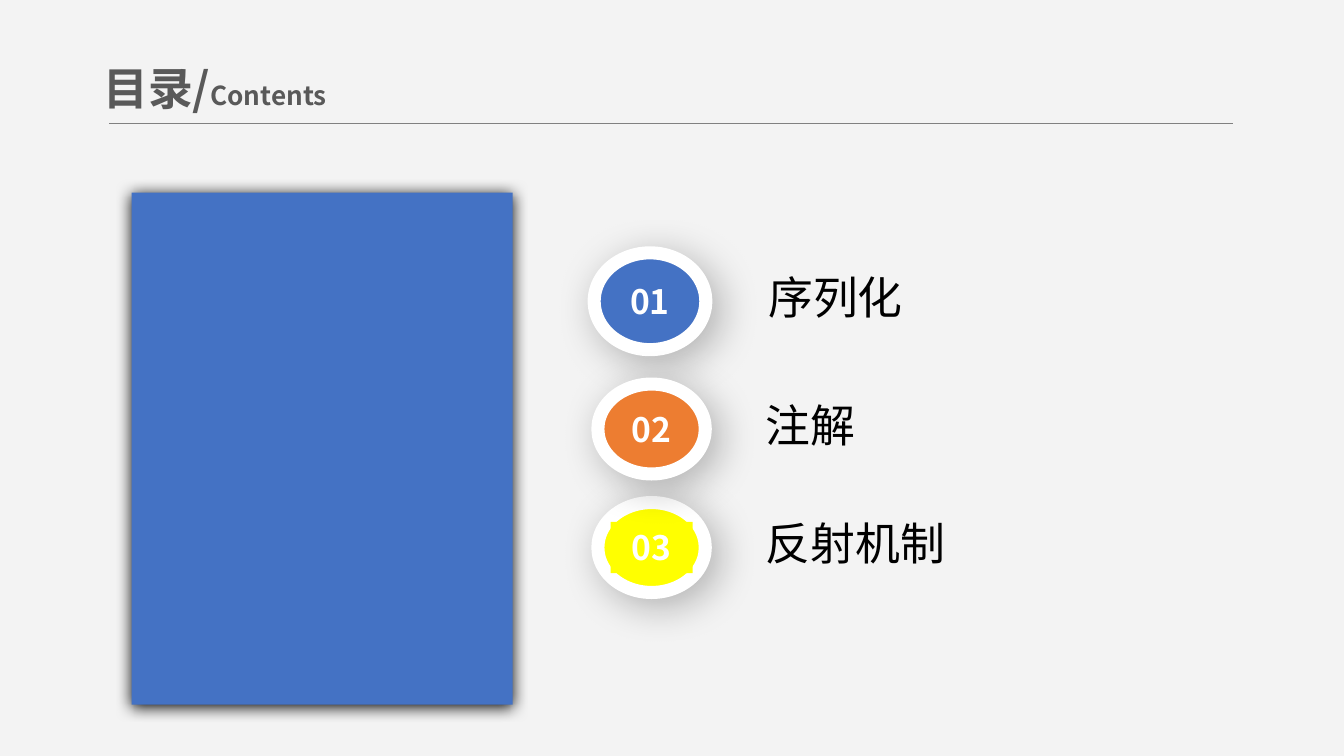
from lxml.etree import SubElement
from pptx import Presentation
from pptx.dml.color import RGBColor
from pptx.enum.shapes import MSO_CONNECTOR, MSO_SHAPE
from pptx.enum.text import MSO_ANCHOR, MSO_AUTO_SIZE, PP_ALIGN
from pptx.oxml.ns import qn
from pptx.util import Cm, Pt

FONT = "Noto Sans CJK SC"
BLUE, ORANGE, YELLOW, WHITE = "4472C4", "ED7D31", "FFFF00", "FFFFFF"
NUMBER_HEIGHT = 0.97

# number, topic, badge box, badge colour, number width, number fill, label box
ENTRIES = [
    ("03", "反射机制", (11.3, 9.5, 2.03, 1.7), YELLOW, 1.55, YELLOW, (14.22, 9.63, 6.32, 1.27)),
    ("01", "序列化", (11.23, 4.78, 2.11, 1.83), BLUE, 1.6, None, (14.27, 4.98, 7.19, 1.27)),
    ("02", "注解", (11.3, 7.26, 2.03, 1.7), ORANGE, 1.55, None, (14.22, 7.39, 6.32, 1.27)),
]


def paint(color_format, value):
    """Set a colour from a hex string."""
    color_format.rgb = RGBColor.from_string(value)


def fill_with(owner, value):
    """Give a shape or background a solid fill."""
    owner.fill.solid()
    paint(owner.fill.fore_color, value)


def add_run(paragraph, words, size, color, bold=False):
    """Append one formatted run, with the font set for both scripts."""
    run = paragraph.add_run()
    run.text = words
    run.font.name, run.font.size, run.font.bold = FONT, Pt(size), bold
    paint(run.font.color, color)
    SubElement(run.font._element, qn("a:ea"), typeface=FONT)


def cast_shadow(shape, opacity, blur, distance, angle):
    """Replace the theme shadow with a black outer shadow."""
    shape.shadow.inherit = False
    effects = shape._element.spPr.find(qn("a:effectLst"))
    outer = SubElement(effects, qn("a:outerShdw"), blurRad=str(Pt(blur)),
                       dist=str(Pt(distance)), dir=str(angle * 60000),
                       algn="ctr", rotWithShape="0")
    black = SubElement(outer, qn("a:srgbClr"), val="000000")
    SubElement(black, qn("a:alpha"), val=str(opacity * 1000))


def add_title(slide):
    """Write the heading in the title placeholder."""
    title = slide.shapes.title
    title.left, title.top, title.width, title.height = Cm(1.7), Cm(0.97), Cm(6.27), Cm(1.37)
    frame = title.text_frame
    frame.auto_size = MSO_AUTO_SIZE.NONE
    frame.vertical_anchor = MSO_ANCHOR.MIDDLE
    heading = frame.paragraphs[0]
    heading.alignment = PP_ALIGN.LEFT
    add_run(heading, "目录/", 24, "595959", True)
    add_run(heading, "Contents", 14, "595959", True)


def add_rule(slide):
    """Draw the thin line below the heading."""
    rule = slide.shapes.add_connector(MSO_CONNECTOR.STRAIGHT, Cm(2.06), Cm(2.34), Cm(23.3), Cm(2.34))
    paint(rule.line.color, "808080")
    rule.line.width = Pt(0.5)
    SubElement(rule._element.spPr, qn("a:effectLst"))


def add_panel(slide):
    """Draw the shaded panel on the left."""
    panel = slide.shapes.add_shape(MSO_SHAPE.RECTANGLE, Cm(2.49), Cm(3.64), Cm(7.2), Cm(9.68))
    fill_with(panel, BLUE)
    panel.line.fill.background()
    cast_shadow(panel, 100, 8.5, 1, 90)


def add_badge(slide, number, box, color, number_width, number_fill):
    """Group a ringed ellipse with the number centred on it."""
    left, top, width, height = box
    badge = slide.shapes.add_group_shape().shapes
    disc = badge.add_shape(MSO_SHAPE.OVAL, *map(Cm, box))
    fill_with(disc, color)
    paint(disc.line.color, WHITE)
    disc.line.width = Pt(7)
    cast_shadow(disc, 28, 22, 6, 45)

    caption = badge.add_textbox(Cm(left + (width - number_width) / 2),
                                Cm(top + (height - NUMBER_HEIGHT) / 2),
                                Cm(number_width), Cm(NUMBER_HEIGHT))
    if number_fill:
        fill_with(caption, number_fill)
    frame = caption.text_frame
    frame.word_wrap = True
    frame.margin_left = frame.margin_right = Cm(0.18)
    frame.margin_top = frame.margin_bottom = Cm(0.1)
    frame.paragraphs[0].alignment = PP_ALIGN.CENTER
    add_run(frame.paragraphs[0], number, 18, WHITE, True)


def add_label(slide, topic, box):
    """Write one topic beside its badge."""
    frame = slide.shapes.add_textbox(*map(Cm, box)).text_frame
    frame.word_wrap = True
    add_run(frame.paragraphs[0], topic, 24, "000000")


def main():
    """Build the contents slide and save it."""
    deck = Presentation()
    deck.slide_width, deck.slide_height = Cm(25.4), Cm(14.29)
    slide = deck.slides.add_slide(deck.slide_layouts[5])
    fill_with(slide.background, "F3F3F3")
    add_title(slide)
    add_rule(slide)
    add_panel(slide)
    for number, topic, badge_box, color, number_width, number_fill, label_box in ENTRIES:
        add_badge(slide, number, badge_box, color, number_width, number_fill)
        add_label(slide, topic, label_box)
    deck.save("out.pptx")


if __name__ == "__main__":
    main()
